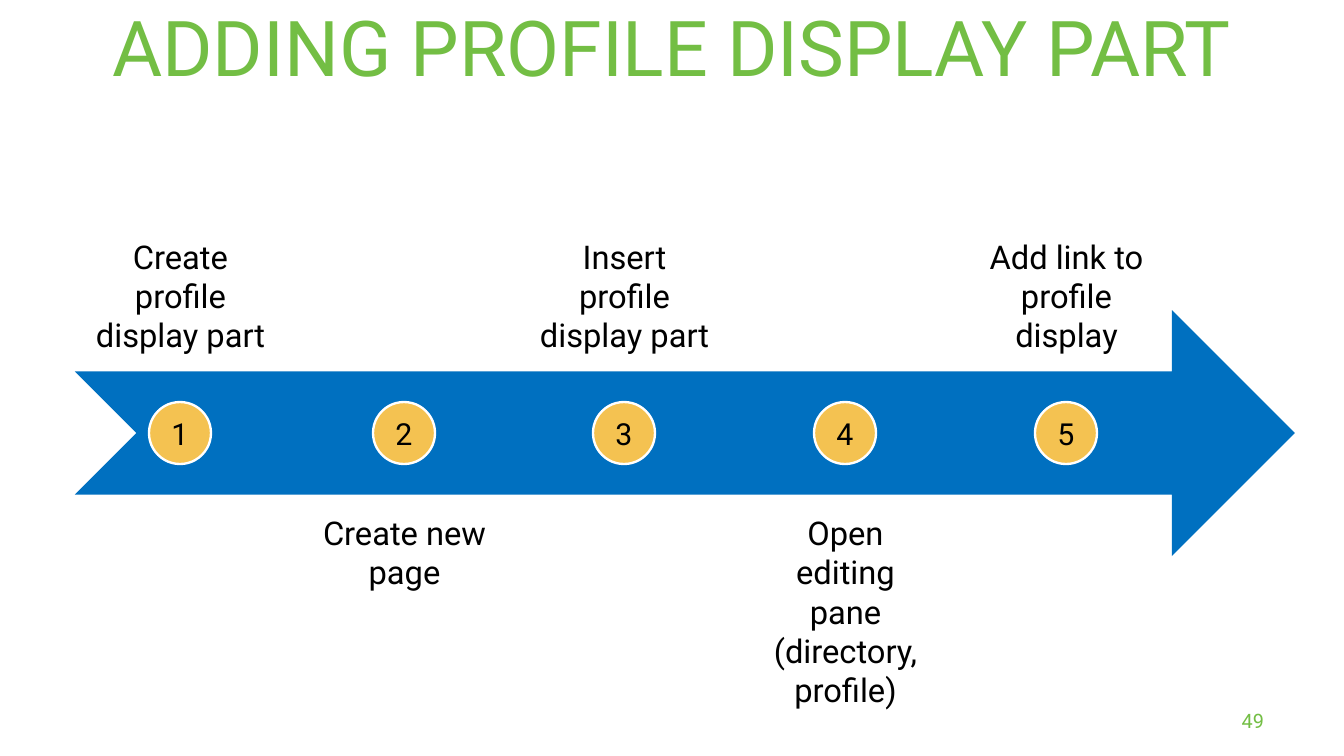
"""Builds the slide with the five steps for adding a profile display part."""
from dataclasses import dataclass

from pptx import Presentation
from pptx.dml.color import RGBColor
from pptx.enum.shapes import MSO_SHAPE as Shape
from pptx.enum.text import MSO_ANCHOR as Anchor, MSO_AUTO_SIZE as AutoSize, PP_ALIGN as Align
from pptx.shapes.autoshape import Shape as AutoShape
from pptx.slide import Slide
from pptx.util import Emu, Pt

GREEN = RGBColor(0x73, 0xBE, 0x44)
BLUE = RGBColor(0x00, 0x70, 0xC0)
AMBER = RGBColor(0xF4, 0xC2, 0x51)
WHITE = RGBColor(0xFF, 0xFF, 0xFF)
BLACK = RGBColor(0x00, 0x00, 0x00)

FONT = "Roboto"
PX_PER_INCH = 84
MARKER_SIZE, MARKER_TOP = 62, 402
CAPTION_WIDTH, CAPTION_HEIGHT, CAPTION_INSET = 211, 246, 18
UPPER_TOP, LOWER_TOP = 126, 495


@dataclass(frozen=True)
class Step:
    """One step on the arrow, placed by its horizontal centre."""
    center: int
    caption: str


STEPS = [
    Step(180, "Create profile display part"),
    Step(404, "Create new page"),
    Step(624, "Insert profile display part"),
    Step(845, "Open editing pane (directory, profile)"),
    Step(1066, "Add link to profile display"),
]


def px(length: int) -> Emu:
    """Turns pixels into EMU."""
    return Emu(round(length * 914400 / PX_PER_INCH))


def box(left: int, top: int, width: int, height: int) -> tuple[Emu, Emu, Emu, Emu]:
    """Turns a pixel rectangle into EMU."""
    return px(left), px(top), px(width), px(height)


def write(holder: AutoShape, text: str, size: int, color: RGBColor, align: Align,
          anchor: Anchor, inset_x: int = 0, inset_y: int = 0) -> None:
    """Puts one formatted paragraph into a shape."""
    frame = holder.text_frame
    frame.text = text
    frame.word_wrap = True
    frame.auto_size = AutoSize.NONE
    frame.vertical_anchor = anchor
    frame.margin_left = frame.margin_right = px(inset_x)
    frame.margin_top = frame.margin_bottom = px(inset_y)
    paragraph = frame.paragraphs[0]
    paragraph.alignment = align
    font = paragraph.runs[0].font
    font.name, font.size = FONT, Pt(size)
    font.color.rgb = color


def add_filled(slide: Slide, preset: Shape, place: tuple[Emu, Emu, Emu, Emu],
               fill: RGBColor) -> AutoShape:
    """Adds a flat preset shape without outline."""
    figure = slide.shapes.add_shape(preset, *place)
    figure.shadow.inherit = False
    figure.fill.solid()
    figure.fill.fore_color.rgb = fill
    figure.line.fill.background()
    return figure


def add_step(slide: Slide, number: int, step: Step) -> None:
    """Adds a numbered marker and its caption, odd above and even below the arrow."""
    above = number % 2 == 1
    caption = slide.shapes.add_textbox(*box(
        step.center - CAPTION_WIDTH // 2, UPPER_TOP if above else LOWER_TOP,
        CAPTION_WIDTH, CAPTION_HEIGHT))
    write(caption, step.caption, 28, BLACK, Align.CENTER,
          Anchor.BOTTOM if above else Anchor.TOP, CAPTION_INSET, CAPTION_INSET)
    marker = add_filled(slide, Shape.OVAL, box(
        step.center - MARKER_SIZE // 2, MARKER_TOP, MARKER_SIZE, MARKER_SIZE), AMBER)
    marker.line.color.rgb = WHITE
    marker.line.width = Pt(2)
    write(marker, str(number), 26, BLACK, Align.CENTER, Anchor.MIDDLE)


def main() -> None:
    """Builds and saves the slide."""
    deck = Presentation()
    deck.slide_width, deck.slide_height = px(1344), px(756)
    slide = deck.slides.add_slide(deck.slide_layouts[5])

    title = slide.shapes.title
    title.left, title.top, title.width, title.height = box(42, 0, 1260, 92)
    write(title, "ADDING PROFILE DISPLAY PART", 66, GREEN, Align.CENTER, Anchor.MIDDLE, 0, 6)

    add_filled(slide, Shape.NOTCHED_RIGHT_ARROW, box(75, 310, 1220, 246), BLUE)
    for number, step in enumerate(STEPS, start=1):
        add_step(slide, number, step)

    page_number = slide.shapes.add_textbox(*box(963, 701, 313, 40))
    write(page_number, "49", 17, GREEN, Align.RIGHT, Anchor.MIDDLE, 12, 6)
    deck.save("out.pptx")


if __name__ == "__main__":
    main()
